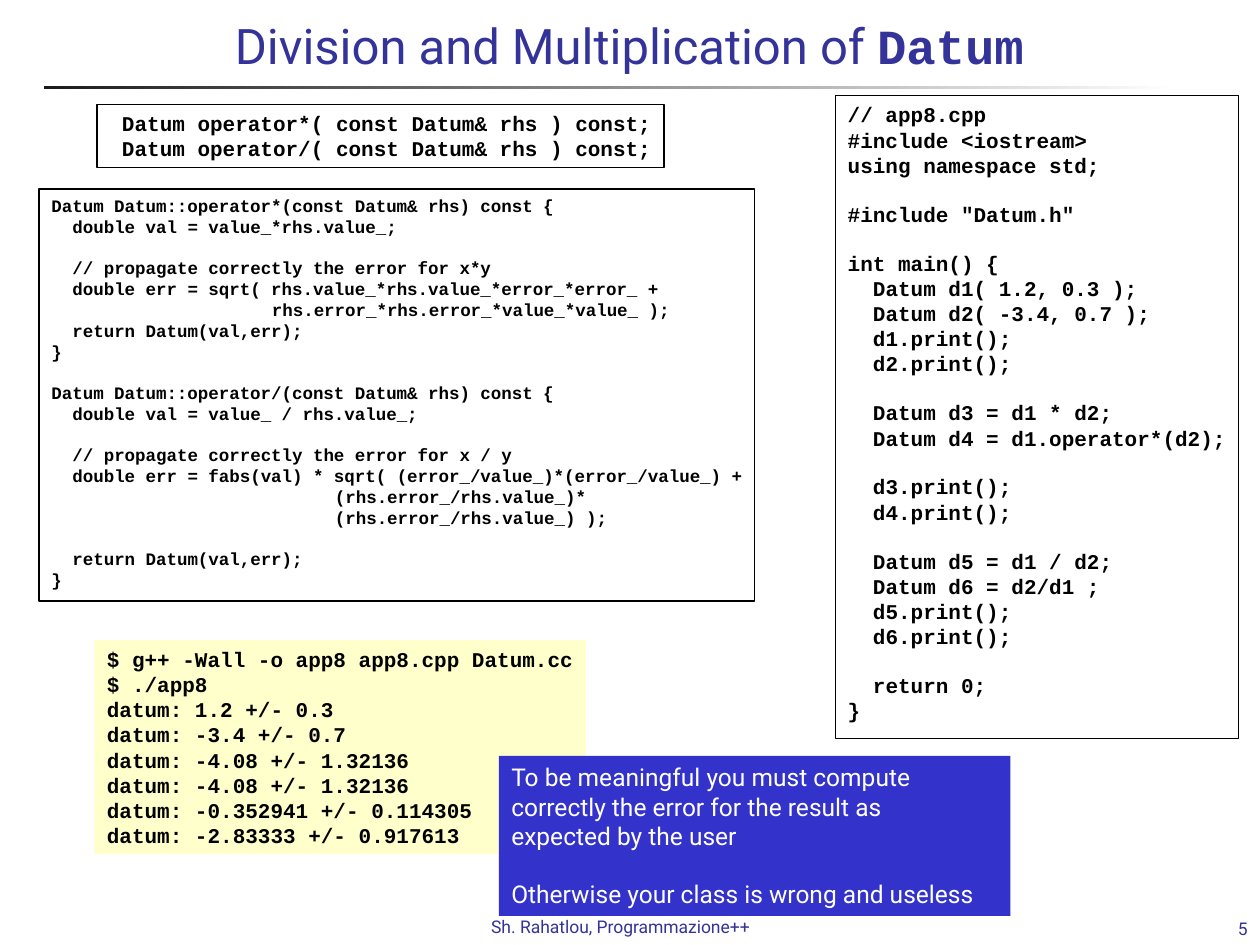
from pptx import Presentation
from pptx.dml.color import RGBColor
from pptx.enum.shapes import MSO_SHAPE
from pptx.enum.text import MSO_ANCHOR, MSO_AUTO_SIZE, PP_ALIGN
from pptx.util import Inches, Pt

RECTANGLE = MSO_SHAPE.RECTANGLE
TOP, MIDDLE, BOTTOM = MSO_ANCHOR.TOP, MSO_ANCHOR.MIDDLE, MSO_ANCHOR.BOTTOM
LEFT, CENTER, RIGHT = PP_ALIGN.LEFT, PP_ALIGN.CENTER, PP_ALIGN.RIGHT
NO_AUTOSIZE = MSO_AUTO_SIZE.NONE

COLORS = {
    "title": "333399", "code": "000000", "border": "000000",
    "terminal": "FFFFCC", "note": "3333CC", "note_text": "FFFFFF",
    "rule_start": "1C1C1C", "rule_end": "FFFFFF",
}
SANS, MONO = "Roboto", "Courier New"
CHARACTER_WIDTH = 0.6   # monospaced advance, in ems
LINE_HEIGHT = {MONO: 1.13, SANS: 1.17}   # in ems

DECLARATIONS = """\
 Datum operator*( const Datum& rhs ) const;
 Datum operator/( const Datum& rhs ) const;"""

OPERATORS = """\
Datum Datum::operator*(const Datum& rhs) const {
  double val = value_*rhs.value_;

  // propagate correctly the error for x*y
  double err = sqrt( rhs.value_*rhs.value_*error_*error_ +
                     rhs.error_*rhs.error_*value_*value_ );
  return Datum(val,err);
}

Datum Datum::operator/(const Datum& rhs) const {
  double val = value_ / rhs.value_;

  // propagate correctly the error for x / y
  double err = fabs(val) * sqrt( (error_/value_)*(error_/value_) +
                           (rhs.error_/rhs.value_)*
                           (rhs.error_/rhs.value_) );

  return Datum(val,err);
}"""

APPLICATION = """\
// app8.cpp
#include <iostream>
using namespace std;

#include "Datum.h"

int main() {
  Datum d1( 1.2, 0.3 );
  Datum d2( -3.4, 0.7 );
  d1.print();
  d2.print();

  Datum d3 = d1 * d2;
  Datum d4 = d1.operator*(d2);

  d3.print();
  d4.print();

  Datum d5 = d1 / d2;
  Datum d6 = d2/d1 ;
  d5.print();
  d6.print();

  return 0;
}"""

TERMINAL = """\
$ g++ -Wall -o app8 app8.cpp Datum.cc
$ ./app8
datum: 1.2 +/- 0.3
datum: -3.4 +/- 0.7
datum: -4.08 +/- 1.32136
datum: -4.08 +/- 1.32136
datum: -0.352941 +/- 0.114305
datum: -2.83333 +/- 0.917613"""

NOTE = [
    ["To be meaningful you must compute",
     "correctly the error for the result as",
     "expected by the user"],
    ["Otherwise your class is wrong and useless"],
]


def rgb(name):
    return RGBColor.from_string(COLORS[name])


def add_run(paragraph, text, size, color, font=SANS, bold=False):
    run = paragraph.add_run()
    run.text = text
    run.font.name = font
    run.font.size = Pt(size)
    run.font.bold = bold
    run.font.color.rgb = rgb(color)


def prepare_frame(shape, anchor=TOP, wrap=False):
    frame = shape.text_frame
    frame.word_wrap = wrap
    frame.auto_size = NO_AUTOSIZE
    frame.vertical_anchor = anchor
    frame.margin_left = frame.margin_right = Inches(0.1)
    frame.margin_top = frame.margin_bottom = Inches(0.05)
    return frame


def next_paragraph(frame, first):
    paragraph = frame.paragraphs[0] if first else frame.add_paragraph()
    paragraph.alignment = LEFT
    return paragraph


def add_panel(slide, box, fill=None, border=False):
    shape = slide.shapes.add_shape(RECTANGLE, *map(Inches, box))
    shape.shadow.inherit = False
    if fill:
        shape.fill.solid()
        shape.fill.fore_color.rgb = rgb(fill)
    else:
        shape.fill.background()
    if border:
        shape.line.color.rgb = rgb("border")
        shape.line.width = Pt(0.75)
    else:
        shape.line.fill.background()
    return shape


def add_code(slide, box, code, size=12, fill=None):
    """Leading spaces become indents and empty lines become spacing."""
    frame = prepare_frame(add_panel(slide, box, fill, border=fill is None))
    gap = 0
    for index, line in enumerate(code.splitlines()):
        if not line:
            gap += size * LINE_HEIGHT[MONO]
            continue
        paragraph = next_paragraph(frame, index == 0)
        paragraph.space_before = Pt(gap)
        gap = 0
        text = line.lstrip()
        indent = Pt((len(line) - len(text)) * size * CHARACTER_WIDTH)
        properties = paragraph._p.get_or_add_pPr()
        properties.set("marL", str(int(indent)))
        properties.set("indent", "0")
        add_run(paragraph, text, size, "code", MONO, bold=True)


def add_note(slide, box, paragraphs, size=14):
    frame = prepare_frame(add_panel(slide, box, "note"))
    for index, lines in enumerate(paragraphs):
        paragraph = next_paragraph(frame, index == 0)
        if index:
            paragraph.space_before = Pt(size * LINE_HEIGHT[SANS])
        for number, line in enumerate(lines):
            if number:
                paragraph.add_line_break()
            add_run(paragraph, line, size, "note_text")


def add_label(slide, box, text, alignment=LEFT, anchor=TOP, wrap=False):
    frame = prepare_frame(slide.shapes.add_textbox(*map(Inches, box)), anchor, wrap)
    paragraph = frame.paragraphs[0]
    paragraph.alignment = alignment
    add_run(paragraph, text, 10, "title")


def add_title(slide):
    title = slide.shapes.title
    title.left, title.top, title.width, title.height = map(
        Inches, (0.58, 0.02, 8.83, 0.67))
    paragraph = prepare_frame(title, MIDDLE, wrap=True).paragraphs[0]
    paragraph.alignment = CENTER
    add_run(paragraph, "Division and Multiplication of ", 28, "title")
    add_run(paragraph, "Datum", 28, "title", MONO, bold=True)


def add_rule(slide):
    fill = add_panel(slide, (0.35, 0.68, 9, 0.03)).fill
    fill.gradient()
    fill.gradient_angle = 0
    for stop, position, color in zip(
            fill.gradient_stops, (0, 1), ("rule_start", "rule_end")):
        stop.position = position
        stop.color.rgb = rgb(color)


def main():
    presentation = Presentation()
    presentation.slide_width = Inches(10)
    presentation.slide_height = Inches(7.5)
    slide = presentation.slides.add_slide(presentation.slide_layouts[5])

    # Heading and footer
    add_rule(slide)
    add_label(slide, (3.8, 7.22, 2.37, 0.27), "Sh. Rahatlou, Programmazione++")
    add_label(slide, (8.92, 7.25, 1.08, 0.25), "5", RIGHT, BOTTOM, wrap=True)
    add_title(slide)

    # Code, program output and remark
    add_code(slide, (6.63, 0.76, 3.2, 5.1), APPLICATION)
    add_code(slide, (0.31, 1.5, 5.68, 3.27), OPERATORS, size=10)
    add_code(slide, (0.77, 0.83, 4.5, 0.5), DECLARATIONS)
    add_code(slide, (0.75, 5.08, 3.9, 1.7), TERMINAL, fill="terminal")
    add_note(slide, (3.96, 6, 4.06, 1.27), NOTE)

    presentation.save("out.pptx")


if __name__ == "__main__":
    main()
